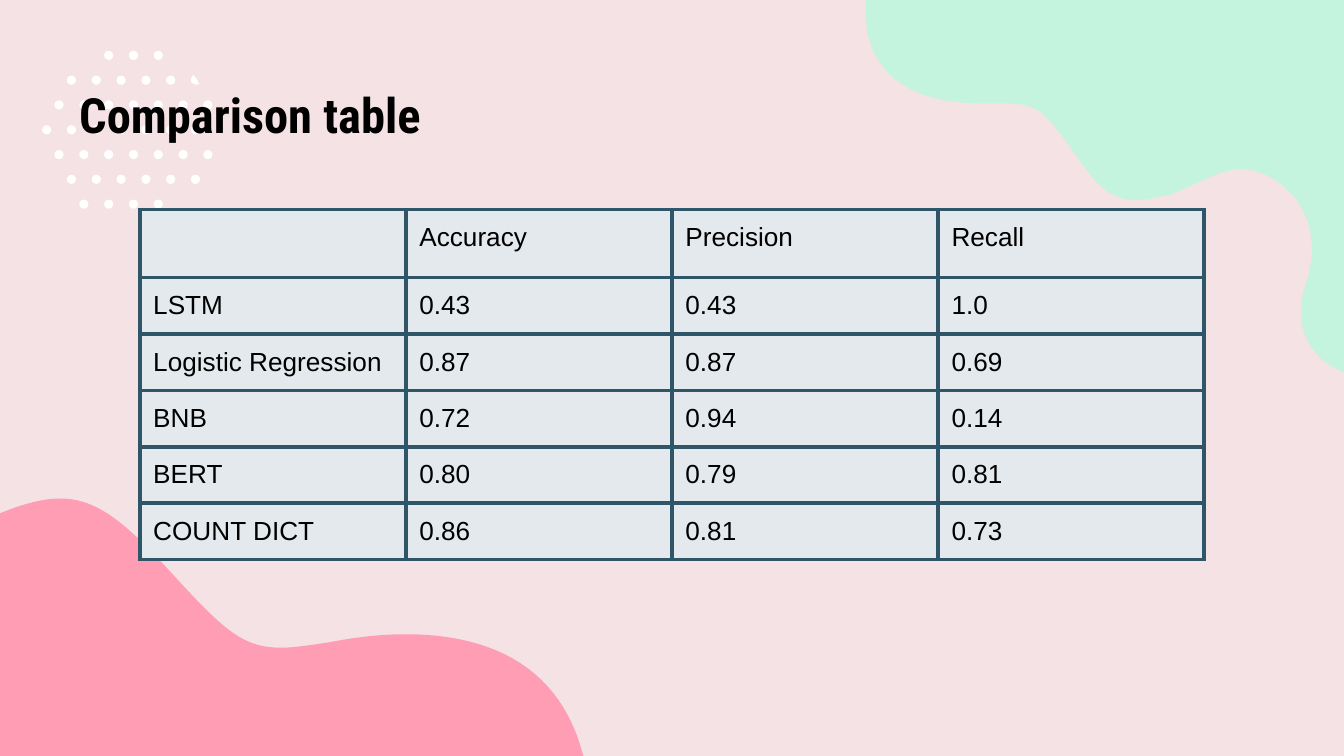
from dataclasses import dataclass
from typing import NamedTuple

from lxml.etree import SubElement
from pptx import Presentation
from pptx.dml.color import RGBColor
from pptx.enum.shapes import MSO_SHAPE
from pptx.oxml.ns import qn
from pptx.shapes.base import BaseShape
from pptx.slide import Slide
from pptx.table import _Cell
from pptx.util import Inches, Pt

# The slide is a grid of 1000 columns by 562.5 rows
GRID_COLUMNS, GRID_ROWS = 1000, 562.5
UNIT = Inches(10) / GRID_COLUMNS
CURVE_STEPS = 24


@dataclass(frozen=True)
class Theme:
    background: str = "F5E2E5"
    pink: str = "FF9DB4"
    mint: str = "C4F4DE"
    dot: str = "FFFFFF"
    text: str = "000000"
    cell: str = "E3E9ED"
    border: str = "2E5668"
    border_points: float = 2.25
    title_font: str = "Roboto Condensed"
    title_points: int = 26
    table_font: str = "Arial"
    table_points: int = 14


class Point(NamedTuple):
    column: float
    row: float


class Curve(NamedTuple):
    first_control: Point
    second_control: Point
    end: Point


class Blob(NamedTuple):
    color: str
    start: Point
    # Six numbers make a curve, two make a straight line
    segments: list[tuple[float, ...]]


class DotRow(NamedTuple):
    first: int
    last: int


THEME = Theme()

PINK_BLOB = Blob(THEME.pink, Point(45, 371), [
    (69, 371, 89, 385, 119, 417), (164, 466, 178, 482, 209, 482),
    (219, 482, 231, 480, 245, 478), (265, 474, 284, 472, 302, 472),
    (369, 472, 418, 499, 434, 562.5), (0, 562.5), (0, 382),
    (17, 375, 32, 371, 45, 371)])
MINT_BLOB = Blob(THEME.mint, Point(1000, 0), [
    (1000, 277), (976, 268, 960, 244, 972, 210), (983, 176, 971, 147, 947, 133),
    (939, 128, 931, 126, 924, 126), (906, 126, 890, 138, 870, 145),
    (860, 147, 852, 149, 845, 149), (829, 149, 818, 141, 803, 119),
    (778, 84, 774, 77, 748, 77), (743, 77, 737, 77, 731, 77),
    (677, 77, 641, 55, 644, 0)])
CUT_DOT = Blob(THEME.dot, Point(144, 56), [
    (146, 58, 147, 60, 148, 62), (148, 63, 147, 63, 146, 63),
    (144, 63, 142, 61, 142, 60), (142, 58, 143, 57, 144, 56)])

# Dots sit on every second half step of each row
DOT_ROWS = [DotRow(5, 9), DotRow(2, 10), DotRow(1, 13), DotRow(0, 12),
            DotRow(1, 13), DotRow(2, 12), DotRow(3, 9)]
DOT_ORIGIN = Point(34.7, 41.2)
DOT_HALF_STEP, DOT_ROW_STEP, DOT_SIZE = 9.23, 18.45, 6.8

TABLE_ORIGIN = Point(104, 156)
COLUMN_WIDTH, ROW_HEIGHT = 198, 42
RESULTS = [
    ("", "Accuracy", "Precision", "Recall"),
    ("LSTM", "0.43", "0.43", "1.0"),
    ("Logistic Regression", "0.87", "0.87", "0.69"),
    ("BNB", "0.72", "0.94", "0.14"),
    ("BERT", "0.80", "0.79", "0.81"),
    ("COUNT DICT", "0.86", "0.81", "0.73"),
]


def length(units: float) -> int:
    return round(units * UNIT)


def paint(shape: BaseShape, color: str) -> None:
    shape.shadow.inherit = False
    shape.fill.solid()
    shape.fill.fore_color.rgb = RGBColor.from_string(color)
    shape.line.fill.background()


def curve_points(start: Point, curve: Curve) -> list[Point]:
    points = []
    for step in range(1, CURVE_STEPS + 1):
        t = step / CURVE_STEPS
        weights = ((1 - t) ** 3, 3 * t * (1 - t) ** 2, 3 * t * t * (1 - t), t ** 3)
        anchors = (start, *curve)
        points.append(Point(sum(w * a.column for w, a in zip(weights, anchors)),
                            sum(w * a.row for w, a in zip(weights, anchors))))
    return points


def draw_blob(slide: Slide, blob: Blob) -> None:
    outline = [blob.start]
    for segment in blob.segments:
        ends = [Point(*segment[i:i + 2]) for i in range(0, len(segment), 2)]
        outline += curve_points(outline[-1], Curve(*ends)) if len(ends) == 3 else ends
    builder = slide.shapes.build_freeform(
        length(blob.start.column), length(blob.start.row), scale=1.0)
    builder.add_line_segments(
        [(length(point.column), length(point.row)) for point in outline[1:]], close=True)
    paint(builder.convert_to_shape(), blob.color)


def draw_dots(slide: Slide) -> None:
    for row_index, dot_row in enumerate(DOT_ROWS):
        top = DOT_ORIGIN.row + row_index * DOT_ROW_STEP - DOT_SIZE / 2
        for half_step in range(dot_row.first, dot_row.last + 1, 2):
            left = DOT_ORIGIN.column + half_step * DOT_HALF_STEP - DOT_SIZE / 2
            dot = slide.shapes.add_shape(MSO_SHAPE.OVAL, length(left), length(top),
                                         length(DOT_SIZE), length(DOT_SIZE))
            paint(dot, THEME.dot)


def style_cell(cell: _Cell) -> None:
    cell.margin_left = cell.margin_right = length(10)
    cell.margin_top = cell.margin_bottom = length(10)
    properties = cell._tc.get_or_add_tcPr()
    for side in ("a:lnL", "a:lnR", "a:lnT", "a:lnB"):
        line = SubElement(properties, qn(side), w=str(Pt(THEME.border_points)))
        fill = SubElement(line, qn("a:solidFill"))
        SubElement(fill, qn("a:srgbClr"), val=THEME.border)
    cell.fill.solid()
    cell.fill.fore_color.rgb = RGBColor.from_string(THEME.cell)


def draw_table(slide: Slide) -> None:
    row_count, column_count = len(RESULTS), len(RESULTS[0])
    table = slide.shapes.add_table(
        row_count, column_count, length(TABLE_ORIGIN.column), length(TABLE_ORIGIN.row),
        length(COLUMN_WIDTH * column_count), length(ROW_HEIGHT * row_count)).table
    table.first_row = table.horz_banding = False
    for row_index, values in enumerate(RESULTS):
        for column_index, value in enumerate(values):
            cell = table.cell(row_index, column_index)
            style_cell(cell)
            cell.text_frame.text = value
            for run in cell.text_frame.paragraphs[0].runs:
                run.font.name = THEME.table_font
                run.font.size = Pt(THEME.table_points)
                run.font.color.rgb = RGBColor.from_string(THEME.text)


def draw_title(slide: Slide) -> None:
    box = slide.shapes.add_textbox(length(49), length(53), length(709), length(64))
    frame = box.text_frame
    frame.word_wrap = True
    frame.margin_left = frame.margin_right = length(10)
    frame.margin_top = frame.margin_bottom = length(10)
    frame.text = "Comparison table"
    font = frame.paragraphs[0].runs[0].font
    font.name, font.size, font.bold = THEME.title_font, Pt(THEME.title_points), True
    font.color.rgb = RGBColor.from_string(THEME.text)


def main() -> None:
    presentation = Presentation()
    presentation.slide_width = length(GRID_COLUMNS)
    presentation.slide_height = length(GRID_ROWS)
    slide = presentation.slides.add_slide(presentation.slide_layouts[6])
    slide.background.fill.solid()
    slide.background.fill.fore_color.rgb = RGBColor.from_string(THEME.background)

    # Decoration
    for blob in (PINK_BLOB, MINT_BLOB, CUT_DOT):
        draw_blob(slide, blob)
    draw_dots(slide)

    # Content
    draw_table(slide)
    draw_title(slide)
    presentation.save("out.pptx")


if __name__ == "__main__":
    main()
